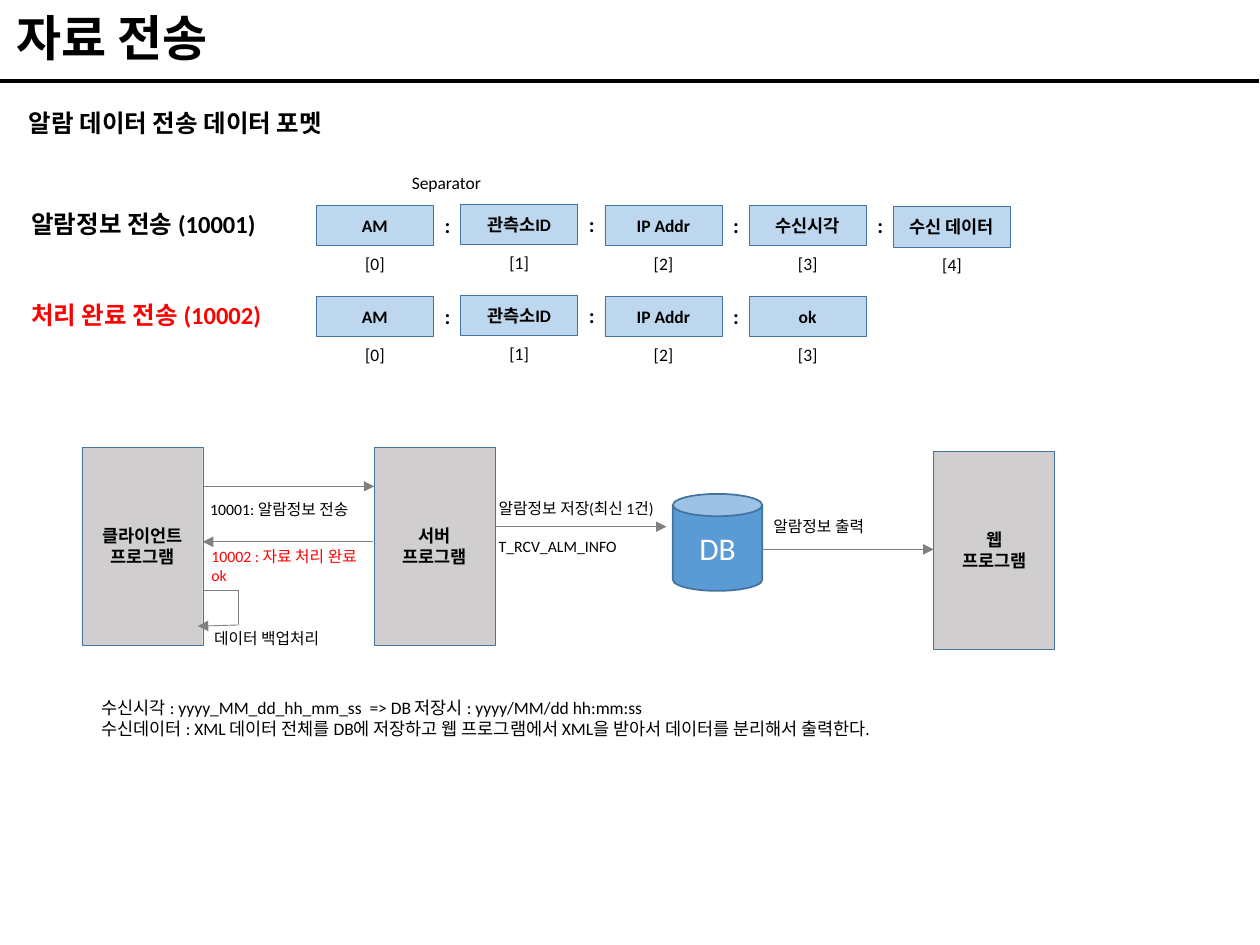
from dataclasses import dataclass

from lxml import etree
from pptx import Presentation
from pptx import util as u
from pptx.dml.color import RGBColor
from pptx.enum import shapes, text
from pptx.oxml import ns


@dataclass(frozen=True)
class Theme:
    font: str = "Calibri"
    heading_font: str = "Arial"
    black: str = "000000"
    red: str = "FF0000"
    white: str = "FFFFFF"
    field: str = "BDD7EE"
    program: str = "D0CECE"
    database: str = "5B9BD5"
    outline: str = "43739E"
    arrow: str = "808080"
    title: int = 28
    database_label: int = 18
    heading: int = 14
    separator: int = 12
    body: int = 10
    caption: int = 9


theme = Theme()
Inches = u.Inches
RECTANGLE, CAN = shapes.MSO_SHAPE.RECTANGLE, shapes.MSO_SHAPE.CAN

presentation = Presentation()
presentation.slide_width, presentation.slide_height = Inches(10), Inches(7.5)
slide = presentation.slides.add_slide(presentation.slide_layouts[5])


def write(shape, lines, size, color=theme.black, bold=False, font=theme.font,
          align=text.PP_ALIGN.LEFT):
    """Put one run per line into the shape and return its paragraphs."""
    frame = shape.text_frame
    for number, line in enumerate(lines):
        paragraph = frame.add_paragraph() if number else frame.paragraphs[0]
        paragraph.alignment = align
        run = paragraph.add_run()
        run.text = line
        run.font.name, run.font.size, run.font.bold = font, u.Pt(size), bold
        run.font.color.rgb = RGBColor.from_string(color)
    return frame.paragraphs


def place(kind, box, lines, size, color=theme.black, bold=False, font=theme.font,
          fill=None, line_width=0.25, wrap=False):
    """Add a text box (kind None) or a filled, outlined shape."""
    position = [Inches(value) for value in box]
    if kind is None:
        shape = slide.shapes.add_textbox(*position)
        shape.text_frame.word_wrap = wrap
        shape.text_frame.auto_size = text.MSO_AUTO_SIZE.SHAPE_TO_FIT_TEXT
        return write(shape, lines, size, color, bold, font)
    shape = slide.shapes.add_shape(kind, *position)
    shape.shadow.inherit = False
    shape.fill.solid()
    shape.fill.fore_color.rgb = RGBColor.from_string(fill)
    shape.line.color.rgb = RGBColor.from_string(theme.outline)
    shape.line.width = u.Pt(line_width)
    shape.text_frame.vertical_anchor = text.MSO_ANCHOR.MIDDLE
    return write(shape, lines, size, color, bold, font, text.PP_ALIGN.CENTER)


# Title
title = slide.shapes.title
title.left, title.top, title.width, title.height = (
    Inches(value) for value in (0.03, 0.03, 9.93, 0.55))
title.text_frame.auto_size = text.MSO_AUTO_SIZE.NONE
title.text_frame.vertical_anchor = text.MSO_ANCHOR.BOTTOM
write(title, ["자료 전송"], theme.title, bold=True)[0].line_spacing = 0.9

# Section heading
place(None, (0.13, 0.81, 2.83, 0.34), ["알람 데이터 전송 데이터 포멧"],
      theme.heading, bold=True, font=theme.heading_font)

# Message formats: one row of fields per message code
field_left, field_pitch, field_width, field_height = 2.51, 1.145, 0.93, 0.32
field_drops = (0, -0.01, 0, 0, 0.01)
place(None, (3.17, 1.32, 0.76, 0.27), ["Separator"], theme.body)
messages = (
    (1.63, "알람정보 전송 (10001)", 2.09, theme.black,
     ("AM", "관측소ID", "IP Addr", "수신시각", "수신 데이터")),
    (2.35, "처리 완료 전송 (10002)", 2.13, theme.red,
     ("AM", "관측소ID", "IP Addr", "ok")),
)
for top, name, name_width, color, fields in messages:
    place(None, (0.15, top - 0.02, name_width, 0.34), [name],
          theme.heading, color, bold=True)
    for index, (field, drop) in enumerate(zip(fields, field_drops)):
        left = field_left + index * field_pitch
        field_top = top + drop
        place(RECTANGLE, (left, field_top, field_width, field_height), [field],
              theme.body, bold=True, fill=theme.field)
        place(None, (left + 0.29, field_top + 0.33, 0.36, 0.27), [f"[{index}]"],
              theme.body)
        if index < len(fields) - 1:
            place(None, (left + 0.92, field_top + 0.01, 0.25, 0.3), [":"],
                  theme.separator, bold=True)

# Programs and database
for left, top, name in ((0.65, 3.55, "클라이언트"), (2.97, 3.55, "서버"),
                        (7.41, 3.58, "웹")):
    place(RECTANGLE, (left, top, 0.96, 1.57), [name, "프로그램"],
          theme.body, bold=True, fill=theme.program)
place(CAN, (5.34, 3.92, 0.71, 0.77), ["DB"], theme.database_label, theme.white,
      fill=theme.database, line_width=1)

# Title rule, data flows and the client's backup loop
connectors = (
    (0, 0.64, 9.99, 0.64, theme.black, 2.25, False),
    (1.62, 3.86, 2.97, 3.86, theme.arrow, 0.5, True),
    (2.96, 4.3, 1.61, 4.3, theme.arrow, 0.5, True),
    (3.94, 4.18, 5.29, 4.18, theme.arrow, 0.5, True),
    (6.05, 4.36, 7.41, 4.36, theme.arrow, 0.5, True),
    (1.61, 4.69, 1.9, 4.69, theme.arrow, 0.5, False),
    (1.89, 4.69, 1.89, 4.95, theme.arrow, 0.5, False),
    (1.9, 4.96, 1.57, 4.97, theme.arrow, 0.5, True),
)
for *ends, color, width, has_arrow in connectors:
    connector = slide.shapes.add_connector(
        shapes.MSO_CONNECTOR.STRAIGHT, *(Inches(value) for value in ends))
    connector.line.color.rgb = RGBColor.from_string(color)
    connector.line.width = u.Pt(width)
    if has_arrow:
        etree.SubElement(connector.line._get_or_add_ln(), ns.qn("a:tailEnd"),
                         type="triangle")
    etree.SubElement(connector._element.spPr, ns.qn("a:effectLst"))

# Flow captions; the return flow wraps before the server box
captions = (
    ((1.57, 3.92, 1.36, 0.25), "10001: 알람정보 전송", theme.black, False),
    ((1.58, 4.29, 1.46, 0.4), "10002 : 자료 처리 완료 ok", theme.red, True),
    ((6.04, 4.05, 0.99, 0.25), "알람정보 출력", theme.black, True),
    ((1.6, 4.94, 1.11, 0.25), "데이터 백업처리", theme.black, True),
)
for box, caption, color, wrap in captions:
    place(None, box, [caption], theme.caption, color, wrap=wrap)
storage = place(None, (3.86, 3.91, 1.53, 0.56),
                ["알람정보 저장(최신 1건)", "T_RCV_ALM_INFO"], theme.caption, wrap=True)
storage[1].space_before = u.Pt(11)

# Format notes
place(None, (0.71, 5.48, 6.37, 0.61), [
    "수신시각 : yyyy_MM_dd_hh_mm_ss  => DB 저장시 : yyyy/MM/dd hh:mm:ss",
    "수신데이터 : XML 데이터 전체를 DB에 저장하고 웹 프로그램에서 XML을 받아서 "
    "데이터를 분리해서 출력한다.",
], theme.body, wrap=True)

presentation.save("out.pptx")
